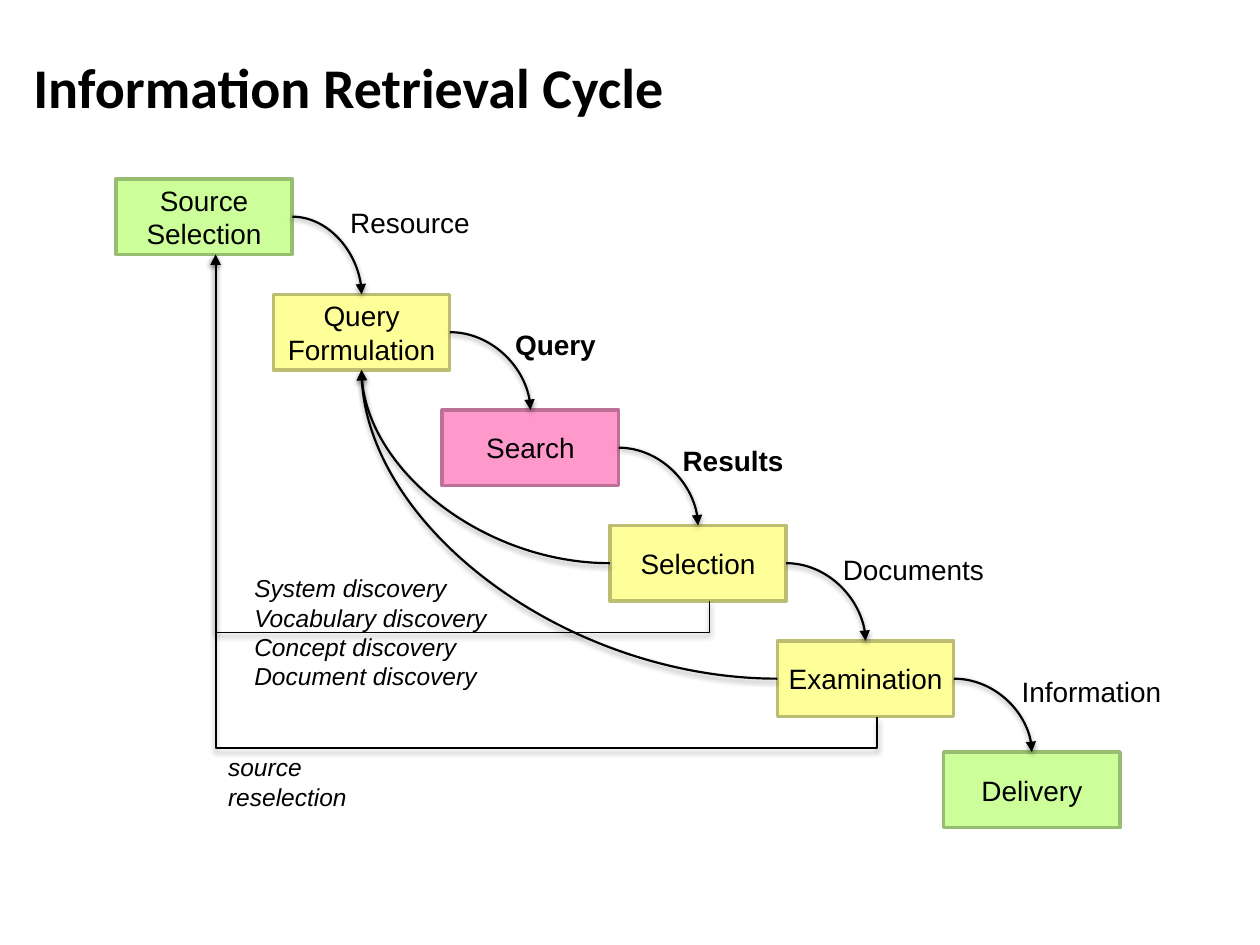
from lxml.etree import SubElement
from pptx import Presentation
from pptx.dml.color import RGBColor
from pptx.enum.shapes import MSO_CONNECTOR as Link, MSO_SHAPE as Shape
from pptx.enum.text import MSO_ANCHOR as Anchor, MSO_AUTO_SIZE as Fit, PP_ALIGN as Align
from pptx.oxml.ns import qn
from pptx.util import Pt

BLACK = RGBColor(0, 0, 0)
GREEN = RGBColor(0xCC, 0xFF, 0x99)
MOSS = RGBColor(0x97, 0xBD, 0x71)
YELLOW = RGBColor(0xFF, 0xFF, 0x99)
OLIVE = RGBColor(0xBD, 0xBD, 0x71)
PINK = RGBColor(0xFF, 0x99, 0xCC)
PLUM = RGBColor(0xBD, 0x71, 0x97)

WIDE, HIGH = 100.8, 43.2
FOOT, DROP = 57, 18

STEPS = [
    (0, 0, "Source\nSelection", GREEN, MOSS),
    (90, 66, "Query\nFormulation", YELLOW, OLIVE),
    (186.5, 132, "Search", PINK, PLUM),
    (282.25, 198, "Selection", YELLOW, OLIVE),
    (378, 264, "Examination", YELLOW, OLIVE),
    (473, 327.5, "Delivery", GREEN, MOSS),
]
LABELS = [
    ("Resource", 126.75, 11.5, 82.8, False),
    ("Query", 131, 15.5, 61.2, True),
    ("Results", 130.25, 15.75, 72.7, True),
    ("Documents", 126, 11.75, 95, False),
    ("Information", 132.5, 15.75, 95.8, False),
]


def style(frame, text, size, font="Arial", bold=False, italic=False, align=Align.LEFT):
    frame.text = text
    for para in frame.paragraphs:
        para.alignment = align
        for run in para.runs:
            run.font.name = font
            run.font.size = Pt(size)
            run.font.bold = bold
            run.font.italic = italic
            run.font.color.rgb = BLACK


def add_note(slide, x, y, w, h, text, size, **look):
    frame = slide.shapes.add_textbox(Pt(x), Pt(y), Pt(w), Pt(h)).text_frame
    frame.word_wrap = False
    frame.auto_size = Fit.SHAPE_TO_FIT_TEXT
    style(frame, text, size, **look)


def add_title(slide, x, y, w, h):
    frame = slide.shapes.add_textbox(Pt(x), Pt(y), Pt(w), Pt(h)).text_frame
    frame.word_wrap = True
    frame.vertical_anchor = Anchor.MIDDLE
    style(frame, "Information Retrieval Cycle", 32, "Calibri", bold=True)


def add_step(slide, x, y, text, fill, edge):
    box = slide.shapes.add_shape(Shape.RECTANGLE, Pt(x), Pt(y), Pt(WIDE), Pt(HIGH))
    box.shadow.inherit = False
    box.fill.solid()
    box.fill.fore_color.rgb = fill
    box.line.color.rgb = edge
    box.line.width = Pt(2)
    frame = box.text_frame
    frame.word_wrap = False
    frame.vertical_anchor = Anchor.MIDDLE
    style(frame, text, 16, align=Align.CENTER)


def add_arrow(slide, kind, x1, y1, x2, y2, width):
    arrow = slide.shapes.add_connector(kind, Pt(x1), Pt(y1), Pt(x2), Pt(y2))
    arrow.line.color.rgb = BLACK
    arrow.line.width = Pt(width)
    props = arrow._element.spPr
    SubElement(props.find(qn("a:ln")), qn("a:tailEnd"), type="triangle")
    effects = SubElement(props, qn("a:effectLst"))
    shade = SubElement(effects, qn("a:outerShdw"), blurRad="40000", dist="20000",
                       dir="5400000", rotWithShape="0")
    tint = SubElement(shade, qn("a:srgbClr"), val="000000")
    SubElement(tint, qn("a:alpha"), val="38000")
    return props


def add_curve(slide, x1, y1, x2, y2):
    props = add_arrow(slide, Link.CURVE, x1, y1, x2, y2, 1.25)
    props.find(qn("a:prstGeom")).set("prst", "curvedConnector2")


def add_bend(slide, x1, y1, x2, y2):
    mid_x, mid_y = (x1 + x2) / 2, (y1 + y2) / 2
    rise, run = y1 - y2, x1 - x2
    props = add_arrow(slide, Link.ELBOW, mid_x - rise / 2, mid_y - run / 2,
                      mid_x + rise / 2, mid_y + run / 2, 1)
    frame = props.find(qn("a:xfrm"))
    frame.set("rot", "5400000")
    frame.set("flipH", "1")
    geom = props.find(qn("a:prstGeom"))
    guides = geom.find(qn("a:avLst"))
    if guides is None:
        guides = SubElement(geom, qn("a:avLst"))
    SubElement(guides, qn("a:gd"), name="adj1", fmla=f"val {round(-DROP / rise * 100000)}")


def add_cycle(slide, left, top):
    spots = [(left + dx, top + dy) for dx, dy, *_ in STEPS]
    for (x, y), (_, _, text, fill, edge) in zip(spots, STEPS):
        add_step(slide, x, y, text, fill, edge)
    for (x, y), (nx, ny), (text, dx, dy, w, bold) in zip(spots, spots[1:], LABELS):
        add_curve(slide, x + WIDE, y + HIGH / 2, nx + WIDE / 2, ny)
        add_note(slide, x + dx, y + dy, w, 26.6, text, 16, bold=bold)


def add_loops(slide, left, top):
    query, pick, exam = [(left + dx, top + dy) for dx, dy, *_ in
                         (STEPS[1], STEPS[3], STEPS[4])]
    for x, y in (exam, pick):
        add_bend(slide, x + FOOT, y + HIGH, left + FOOT, top + HIGH)
        add_curve(slide, x, y + HIGH / 2, query[0] + WIDE / 2, query[1] + HIGH)
    add_note(slide, left + FOOT, top + 324, 128, 24, "source reselection", 14, italic=True)
    finds = "\n".join(f"{name} discovery" for name in
                      ("System", "Vocabulary", "Concept", "Document"))
    add_note(slide, left + 72, top + 221.75, 148.3, 75, finds, 14, italic=True)


def main():
    deck = Presentation()
    deck.slide_width, deck.slide_height = Pt(720), Pt(540)
    slide = deck.slides.add_slide(deck.slide_layouts[6])
    add_title(slide, 12, 9, 684, 80.5)
    add_cycle(slide, 66.25, 102.25)
    add_loops(slide, 66.25, 102.25)
    deck.save("out.pptx")


if __name__ == "__main__":
    main()
